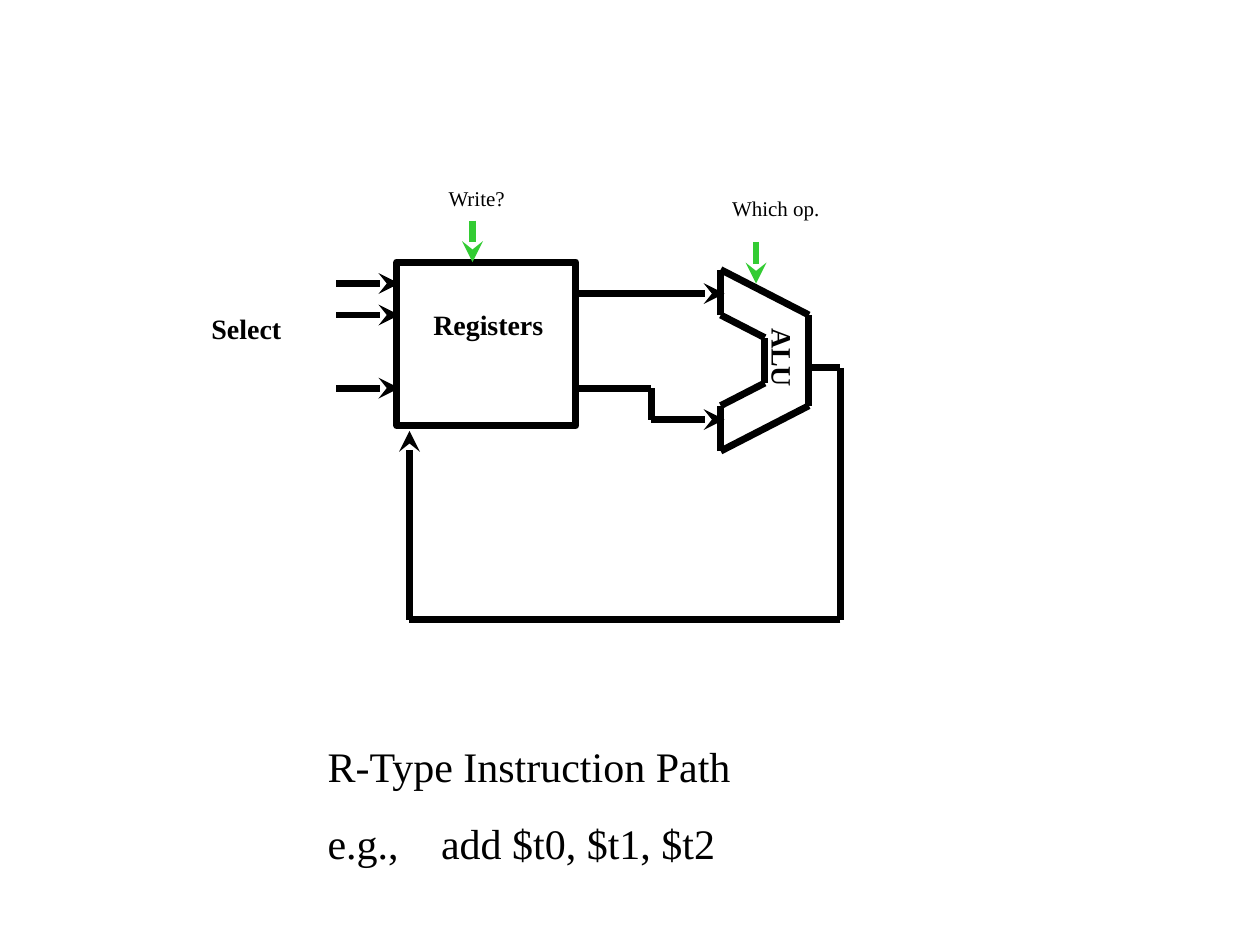
from itertools import pairwise

from lxml import etree
from pptx import Presentation
from pptx.dml.color import RGBColor
from pptx.enum.shapes import MSO_CONNECTOR, MSO_SHAPE
from pptx.enum.text import MSO_ANCHOR, MSO_AUTO_SIZE, PP_ALIGN
from pptx.oxml.ns import qn
from pptx.util import Inches, Pt

STRAIGHT = MSO_CONNECTOR.STRAIGHT
RECTANGLE = MSO_SHAPE.RECTANGLE
TOP = MSO_ANCHOR.TOP
LEFT = PP_ALIGN.LEFT
NO_AUTOFIT = MSO_AUTO_SIZE.NONE

TITLE_ONLY_LAYOUT = 5
FONT_NAME = "Times New Roman"
COLORS = {"black": "000000", "control": "33CC33"}
LINE_WIDTH = Pt(4)

ALU_OUTLINE = [
    (5.72, 2.14), (6.42, 2.5), (6.42, 3.22), (5.72, 3.58), (5.72, 3.22),
    (6.07, 3.04), (6.07, 2.68), (5.72, 2.5), (5.72, 2.14),
]
SELECT_INPUTS = [[(2.67, y), (3.17, y)] for y in (2.25, 2.5, 3.08)]
DATA_PATHS = [
    [(4.58, 2.33), (5.75, 2.33)],
    [(4.58, 3.08), (5.17, 3.08), (5.17, 3.33), (5.75, 3.33)],
    [(6.42, 2.92), (6.67, 2.92), (6.67, 4.92), (3.25, 4.92), (3.25, 3.42)],
]
CONTROL_PATHS = [[(3.75, 1.75), (3.75, 2.08)], [(6, 1.92), (6, 2.25)]]
LABELS = [
    ("Registers", (3.34, 2.39, 1.08, 0.37), 0.1, 16, True),
    ("Select", (1.58, 2.42, 0.92, 0.37), 0.1, 16, True),
    ("Write?", (3.42, 1.42, 0.7, 0.3), 0.14, 12, False),
    ("Which op.", (5.67, 1.5, 0.94, 0.3), 0.14, 12, False),
]


def color(name):
    """Return the named palette colour."""
    return RGBColor.from_string(COLORS[name])


def apply_format(target, values):
    """Set each attribute of the target from a dict."""
    for name, value in values.items():
        setattr(target, name, value)


def format_font(font, size, bold=False):
    """Apply the slide's typeface and black colour."""
    apply_format(font, {"name": FONT_NAME, "size": Pt(size), "bold": bold})
    font.color.rgb = color("black")


def format_line(line, color_name):
    """Apply the thick stroke used in the diagram."""
    line.width = LINE_WIDTH
    line.color.rgb = color(color_name)


def add_path(shapes, points, color_name="black", arrow=True):
    """Join points with connectors and optionally end in an arrowhead."""
    for start, end in pairwise(points):
        connector = shapes.add_connector(
            STRAIGHT, *(Inches(value) for value in (*start, *end)))
        format_line(connector.line, color_name)
        etree.SubElement(connector._element.spPr, qn("a:effectLst"))
    if arrow:
        line = connector.line._get_or_add_ln()
        etree.SubElement(line, qn("a:tailEnd"), type="stealth")


def add_label(shapes, text, box, margin_left, size, bold):
    """Add a one-line label and return its shape."""
    label = shapes.add_textbox(*map(Inches, box))
    frame = label.text_frame
    apply_format(frame, {"text": text, "word_wrap": False,
                         "margin_left": Inches(margin_left)})
    format_font(frame.paragraphs[0].runs[0].font, size, bold)
    return label


def add_alu(shapes):
    """Add the grouped ALU outline with its rotated name."""
    group = shapes.add_group_shape()
    add_path(group.shapes, ALU_OUTLINE, arrow=False)
    label = add_label(group.shapes, "ALU", (5.82, 2.6, 0.78, 0.37), 0.21, 16, True)
    label.rotation = 90


def add_registers(shapes):
    """Add the outlined register block."""
    block = shapes.add_shape(RECTANGLE, *map(Inches, (3.15, 2.08, 1.42, 1.3)))
    block.fill.background()
    block.shadow.inherit = False
    format_line(block.line, "black")


def add_tab_stop(paragraph, position):
    """Add a left tab stop to a paragraph."""
    tabs = etree.SubElement(paragraph._element.get_or_add_pPr(), qn("a:tabLst"))
    etree.SubElement(tabs, qn("a:tab"), pos=str(Inches(position)), algn="l")


def fill_title(title):
    """Place the caption in the title placeholder below the diagram."""
    apply_format(title, {"left": Inches(2.5), "top": Inches(5.83),
                         "width": Inches(5), "height": Inches(1.11)})
    frame = title.text_frame
    apply_format(frame, {
        "text": "R-Type Instruction Path\ne.g.,\tadd $t0, $t1, $t2",
        "word_wrap": True, "auto_size": NO_AUTOFIT, "vertical_anchor": TOP})
    for paragraph in frame.paragraphs:
        apply_format(paragraph, {"alignment": LEFT, "space_before": Pt(15)})
        for run in paragraph.runs:
            format_font(run.font, 24)
    add_tab_stop(frame.paragraphs[1], 0.9)


def main():
    """Build the instruction path slide."""
    presentation = Presentation()
    presentation.slide_width = Inches(10)
    presentation.slide_height = Inches(7.5)
    layout = presentation.slide_layouts[TITLE_ONLY_LAYOUT]
    shapes = presentation.slides.add_slide(layout).shapes
    add_alu(shapes)
    add_registers(shapes)
    for points in SELECT_INPUTS + DATA_PATHS:
        add_path(shapes, points)
    for points in CONTROL_PATHS:
        add_path(shapes, points, "control")
    for label in LABELS:
        add_label(shapes, *label)
    fill_title(shapes.title)
    presentation.save("out.pptx")


main()
